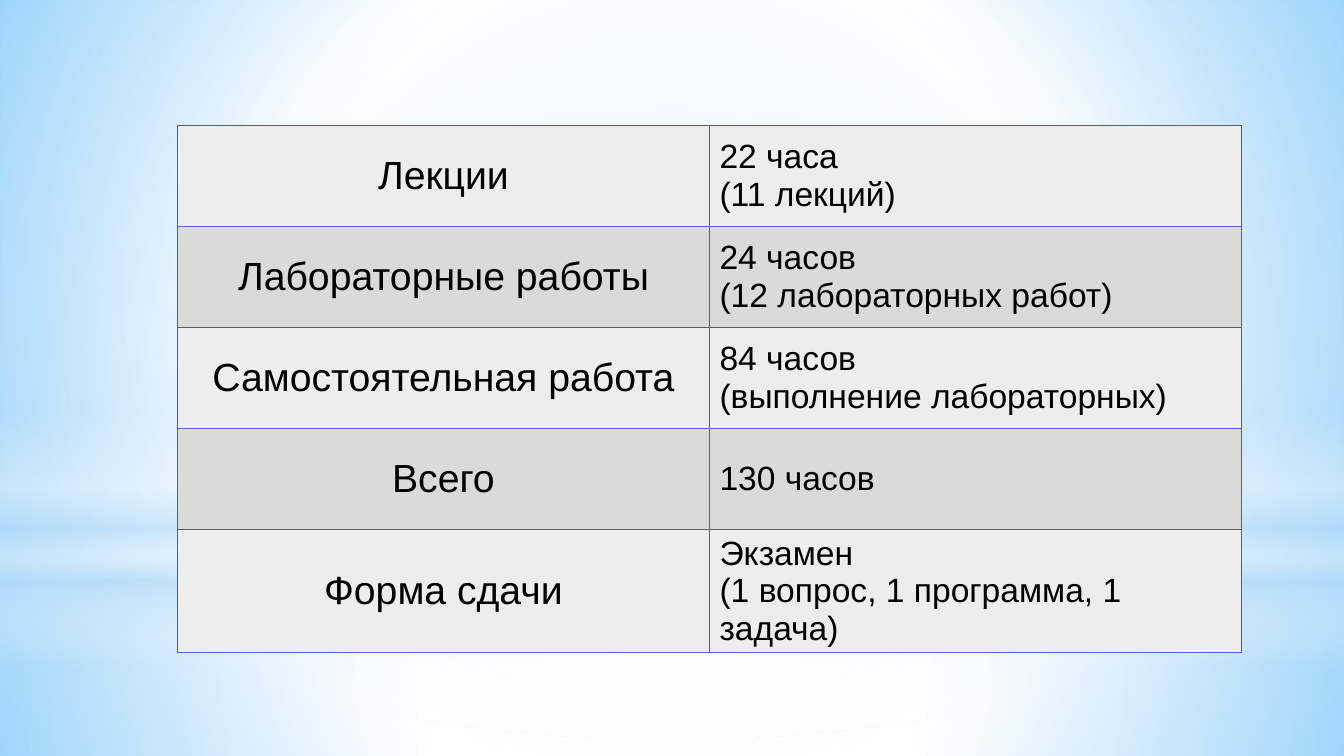
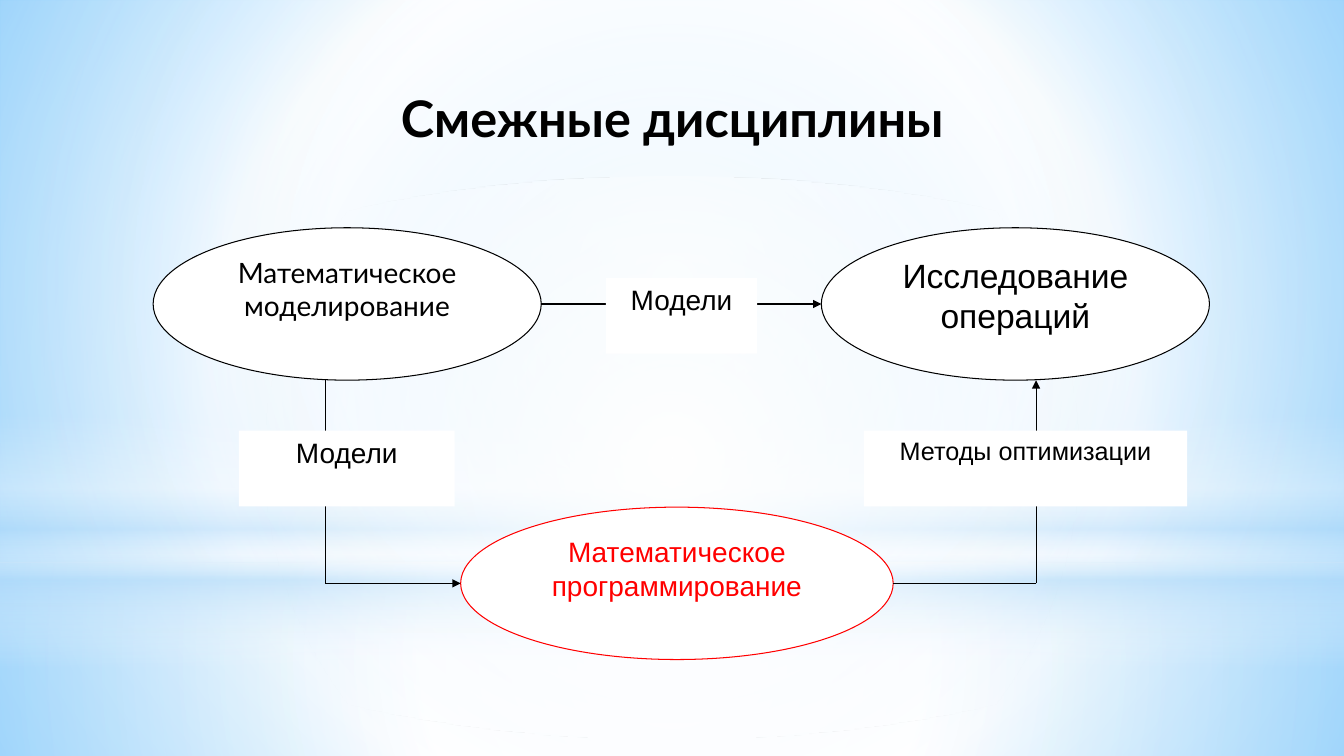
from dataclasses import dataclass
from itertools import pairwise

from pptx import Presentation
from pptx.dml.color import RGBColor
from pptx.enum.shapes import MSO_CONNECTOR, MSO_SHAPE
from pptx.enum.text import MSO_ANCHOR, PP_ALIGN
from pptx.oxml import parse_xml
from pptx.oxml.ns import nsdecls
from pptx.util import Cm, Pt


@dataclass(frozen=True)
class Theme:
    width: float = 33.87
    height: float = 19.05
    body_font: str = "Arial"
    title_font: str = "Lato"
    ink: str = "000000"
    paper: str = "FFFFFF"
    accent: str = "FF0000"
    sky: str = "99D4FE"
    deep_sky: str = "54BDFF"
    haze: str = "B4DCFA"
    light_row: str = "EDEDED"
    dark_row: str = "DADAD8"
    rule: str = "4E67C8"
    frame: str = "5F5F5F"
    title_size: int = 36
    subject_size: int = 28
    large_size: int = 24
    node_size: int = 20
    small_size: int = 18
    line_width: float = 0.75


THEME = Theme()

COURSE_PLAN = [
    ("Лекции", "22 часа\n(11 лекций)"),
    ("Лабораторные работы", "24 часов\n(12 лабораторных работ)"),
    ("Самостоятельная работа", "84 часов\n(выполнение лабораторных)"),
    ("Всего", "130 часов"),
    ("Форма сдачи", "Экзамен\n(1 вопрос, 1 программа, 1 задача)"),
]


def apply_formats(target, formats):
    for name, value in formats.items():
        setattr(target, name, value)


def write_text(frame, text, size, font=THEME.body_font, color=THEME.ink,
               align=PP_ALIGN.CENTER, bold=False, spacing=None):
    frame.text = text
    for paragraph in frame.paragraphs:
        apply_formats(paragraph, {"alignment": align, "line_spacing": spacing})
        apply_formats(paragraph.font, {"name": font, "size": Pt(size), "bold": bold})
        paragraph.font.color.rgb = RGBColor.from_string(color)


def paint_gradient(fill, properties, stops, angle=None):
    fill.solid()
    marks = "".join(
        f'<a:gs pos="{position * 1000}"><a:srgbClr val="{color}">'
        f'<a:alpha val="{opacity * 1000}"/></a:srgbClr></a:gs>'
        for position, color, opacity in stops
    )
    if angle is None:
        direction = ('<a:path path="circle"><a:fillToRect l="50000" t="50000" '
                     'r="50000" b="50000"/></a:path>')
    else:
        direction = f'<a:lin ang="{angle * 60000}" scaled="0"/>'
    gradient = parse_xml(
        f'<a:gradFill {nsdecls("a")} rotWithShape="1"><a:gsLst>{marks}</a:gsLst>'
        f"{direction}</a:gradFill>"
    )
    properties.replace(properties.xpath("./a:solidFill")[0], gradient)


def add_plain_shape(slide, kind, box, fill=None, outline=None):
    shape = slide.shapes.add_shape(kind, *map(Cm, box))
    shape.shadow.inherit = False
    if fill:
        shape.fill.solid()
        shape.fill.fore_color.rgb = RGBColor.from_string(fill)
    if outline:
        shape.line.color.rgb = RGBColor.from_string(outline)
        shape.line.width = Pt(THEME.line_width)
    else:
        shape.line.fill.background()
    return shape


def build_master(master, slide):
    white, haze = THEME.paper, THEME.haze
    paint_gradient(
        master.background.fill,
        master.element.xpath(".//p:bgPr")[0],
        [(0, THEME.sky, 100), (60, white, 100), (100, THEME.deep_sky, 100)],
    )
    horizon = 14.17
    glows = [
        (MSO_SHAPE.RECTANGLE, (0, horizon, THEME.width, THEME.height - horizon),
         [(0, white, 91), (37, white, 76), (100, haze, 79)], None),
        (MSO_SHAPE.RECTANGLE, (0, 0, THEME.width, horizon),
         [(0, white, 89), (48, white, 62), (100, haze, 79)], None),
        (MSO_SHAPE.RECTANGLE, (0, 10.46, THEME.width, 6.35),
         [(0, white, 0), (29, white, 30), (45, haze, 40),
          (55, white, 26), (65, haze, 60), (100, white, 0)], 90),
        (MSO_SHAPE.OVAL, (0, 4.45, THEME.width, horizon),
         [(0, white, 100), (56, white, 0), (100, white, 0)], None),
    ]
    for number, (kind, box, stops, angle) in enumerate(glows, start=100):
        glow = add_plain_shape(slide, kind, box)
        paint_gradient(glow.fill, glow.element.spPr, stops, angle)
        glow.element.xpath("./p:nvSpPr/p:cNvPr")[0].set("id", str(number))
        master.element.spTree.append(glow.element)


def border(side, color):
    return parse_xml(
        f'<a:ln{side} {nsdecls("a")} w="{Pt(THEME.line_width)}"><a:solidFill>'
        f'<a:srgbClr val="{color}"/></a:solidFill></a:ln{side}>'
    )


def add_plan_table(slide, plan, left, top, column_width, row_height, last_height):
    heights = [row_height] * (len(plan) - 1) + [last_height]
    holder = slide.shapes.add_table(
        len(plan), 2, Cm(left), Cm(top), Cm(2 * column_width), Cm(sum(heights))
    )
    table = holder.table
    apply_formats(table, {"first_row": False, "horz_banding": False})
    for column in table.columns:
        column.width = Cm(column_width)
    for row, height in zip(table.rows, heights):
        row.height = Cm(height)
    styles = [
        {"size": THEME.subject_size, "align": PP_ALIGN.CENTER},
        {"size": THEME.large_size, "align": PP_ALIGN.LEFT},
    ]
    bands = (THEME.light_row, THEME.dark_row)
    rules = (THEME.frame, THEME.rule)
    cell_elements = holder.element.xpath(".//a:tc")
    for index, (cell, element) in enumerate(zip(table.iter_cells(), cell_elements)):
        row, column = divmod(index, 2)
        write_text(cell.text_frame, plan[row][column], **styles[column])
        cell.vertical_anchor = MSO_ANCHOR.MIDDLE
        edges = {"L": THEME.frame, "R": THEME.frame,
                 "T": rules[row % 2], "B": rules[(row + 1) % 2]}
        for side, color in edges.items():
            element.get_or_add_tcPr().append(border(side, color))
        cell.fill.solid()
        cell.fill.fore_color.rgb = RGBColor.from_string(bands[row % 2])


def add_label(slide, kind, box, text, outline=None, size=THEME.node_size,
              font=THEME.body_font, color=THEME.ink):
    label = add_plain_shape(slide, kind, box, THEME.paper, outline)
    apply_formats(label.text_frame,
                  {"word_wrap": True, "vertical_anchor": MSO_ANCHOR.TOP})
    write_text(label.text_frame, text, size, font, color)


def add_route(slide, points):
    for start, end in pairwise(points):
        leg = slide.shapes.add_connector(
            MSO_CONNECTOR.STRAIGHT, *map(Cm, (*start, *end))
        )
        leg.line.color.rgb = RGBColor.from_string(THEME.ink)
        leg.line.width = Pt(THEME.line_width)
        if end == points[-1]:
            leg.element.xpath(".//a:ln")[0].append(
                parse_xml(f'<a:tailEnd {nsdecls("a")} type="triangle"/>')
            )
        leg.element.spPr.append(parse_xml(f'<a:effectLst {nsdecls("a")}/>'))


def add_title(slide, text):
    title = slide.shapes.add_textbox(*map(Cm, (3.61, 2.21, 26.67, 1.68)))
    apply_formats(title.text_frame,
                  {"word_wrap": True, "vertical_anchor": MSO_ANCHOR.MIDDLE})
    write_text(title.text_frame, text, THEME.title_size, THEME.title_font,
               bold=True, spacing=0.89)


def add_discipline_map(slide):
    node_width, node_height, label_height = 9.78, 3.84, 1.91
    modelling_left, research_left, upper_top = 3.86, 20.7, 5.74
    programming_left, programming_width, lower_top = 11.61, 10.9, 12.78
    label_top = 10.85
    upper_middle = upper_top + node_height / 2
    upper_bottom = upper_top + node_height
    lower_middle = lower_top + node_height / 2
    descent, ascent = 8.2, 26.11

    nodes = [
        ((modelling_left, upper_top, node_width, node_height),
         "Математическое\nмоделирование",
         {"outline": THEME.ink, "font": THEME.title_font}),
        ((programming_left, lower_top, programming_width, node_height),
         "Математическое\nпрограммирование",
         {"outline": THEME.accent, "color": THEME.accent}),
        ((research_left, upper_top, node_width, node_height),
         "Исследование операций",
         {"outline": THEME.ink, "size": THEME.large_size}),
    ]
    routes = [
        [(modelling_left + node_width, upper_middle), (research_left, upper_middle)],
        [(descent, upper_bottom), (descent, lower_middle),
         (programming_left, lower_middle)],
        [(programming_left + programming_width, lower_middle),
         (ascent, lower_middle), (ascent, upper_bottom)],
    ]
    captions = [
        ((15.27, 7, 3.81, label_height), "Модели", {}),
        ((6.02, label_top, 5.44, label_height), "Модели", {}),
        ((21.77, label_top, 8.15, label_height), "Методы оптимизации",
         {"size": THEME.small_size}),
    ]
    for box, text, formats in nodes:
        add_label(slide, MSO_SHAPE.OVAL, box, text, **formats)
    for points in routes:
        add_route(slide, points)
    for box, text, formats in captions:
        add_label(slide, MSO_SHAPE.RECTANGLE, box, text, **formats)


def main():
    deck = Presentation()
    apply_formats(deck, {"slide_width": Cm(THEME.width),
                         "slide_height": Cm(THEME.height)})
    blank = deck.slide_layouts[6]
    plan_slide = deck.slides.add_slide(blank)
    disciplines_slide = deck.slides.add_slide(blank)
    build_master(deck.slide_master, plan_slide)
    add_plan_table(plan_slide, COURSE_PLAN, 4.47, 3.15, 13.41, 2.55, 3.1)
    add_discipline_map(disciplines_slide)
    add_title(disciplines_slide, "Смежные дисциплины")
    deck.save("out.pptx")


if __name__ == "__main__":
    main()
